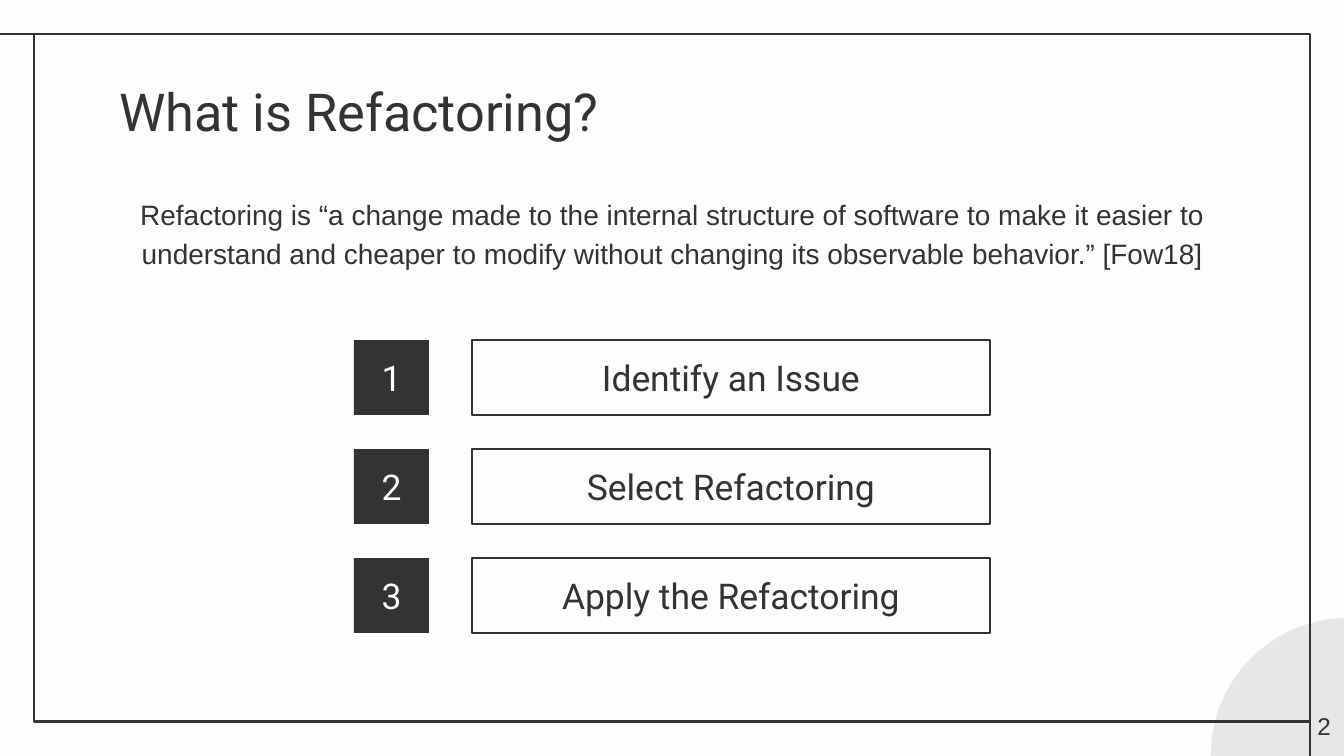
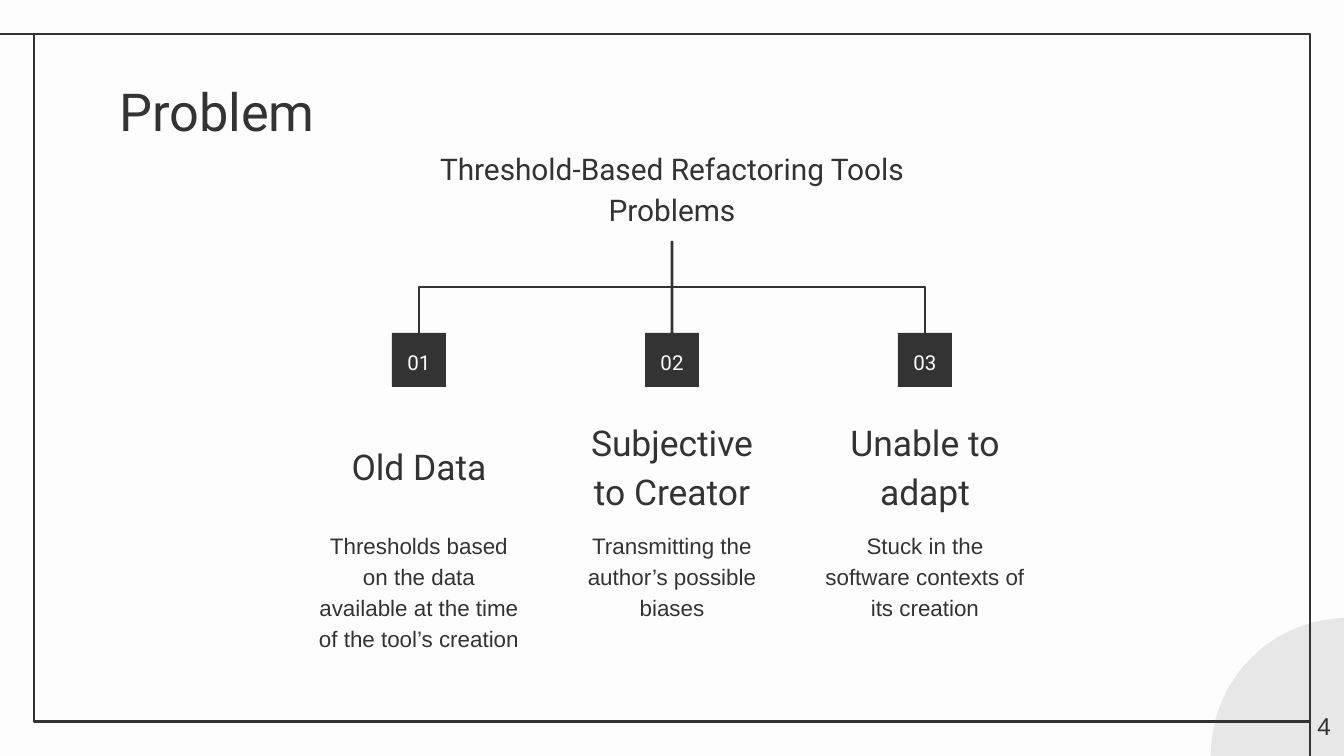
import collections

import lxml.etree
import pptx
import pptx.dml.color
import pptx.enum.shapes
import pptx.enum.text
import pptx.oxml.ns
import pptx.util

PX = 914400 / 134.4
INK, PAPER, CIRCLE = "333333", "FDFDFD", "E8E7E7"
HEADING_FONT, BODY_FONT = "Roboto", "Arial"
ALIGN = pptx.enum.text.PP_ALIGN
ANCHOR = pptx.enum.text.MSO_ANCHOR
SHAPE = pptx.enum.shapes.MSO_SHAPE
CONNECTOR = pptx.enum.shapes.MSO_CONNECTOR
Box = collections.namedtuple("Box", "left top width height")

SLIDE = Box(0, 0, 1344, 756)
TITLE = Box(106, 66, 1133, 85)
QUOTE = Box(106, 179, 1133, 128)
STEPS = Box(354, 340, 636, 293)
TREE = Box(305, 171, 734, 473)


def px(length):
    return round(length * PX)


def color(value):
    return pptx.dml.color.RGBColor.from_string(value)


def apply(target, values):
    for name, value in values.items():
        setattr(target, name, value)


def paint_line(shape, width):
    shape.line.color.rgb = color(INK)
    shape.line.width = pptx.util.Pt(width)


def write(shape, text, size, font=HEADING_FONT, ink=INK, align=ALIGN.CENTER,
          anchor=ANCHOR.TOP, spacing=None):
    margin = pptx.util.Inches(0.1)
    frame = shape.text_frame
    apply(frame, {"margin_left": margin, "margin_right": margin,
                  "margin_top": margin, "margin_bottom": margin,
                  "word_wrap": True, "vertical_anchor": anchor})
    paragraph = frame.paragraphs[0]
    apply(paragraph, {"text": text, "alignment": align, "line_spacing": spacing})
    run_font = paragraph.runs[0].font
    apply(run_font, {"name": font, "size": pptx.util.Pt(size)})
    run_font.color.rgb = color(ink)


def add_text(slide, box, text, size, **style):
    shape = slide.shapes.add_textbox(*map(px, box))
    write(shape, text, size, **style)
    return shape


def add_shape(slide, kind, box, fill=None, line_width=None):
    shape = slide.shapes.add_shape(kind, *map(px, box))
    shape.shadow.inherit = False
    if fill:
        shape.fill.solid()
        shape.fill.fore_color.rgb = color(fill)
    else:
        shape.fill.background()
    if line_width:
        paint_line(shape, line_width)
    else:
        shape.line.fill.background()
    return shape


def add_tile(slide, box, text, size, fill=INK, ink=PAPER, line_width=None, spacing=None):
    tile = add_shape(slide, SHAPE.RECTANGLE, box, fill, line_width)
    write(tile, text, size, ink=ink, anchor=ANCHOR.MIDDLE, spacing=spacing)
    return tile


def add_line(slide, kind, start, end):
    connector = slide.shapes.add_connector(kind, *map(px, (*start, *end)))
    paint_line(connector, 1.5)
    lxml.etree.SubElement(connector._element.spPr, pptx.oxml.ns.qn("a:effectLst"))
    return connector


def add_elbow(slide, start, end):
    run, rise = abs(end[0] - start[0]), start[1] - end[1]
    left = (start[0] + end[0] - rise) / 2
    top = (start[1] + end[1] - run) / 2
    near, far, turn = (left, left + rise, 270) if start[0] < end[0] else (left + rise, left, 90)
    elbow = add_line(slide, CONNECTOR.ELBOW, (near, top), (far, top + run))
    elbow._element.spPr.find(pptx.oxml.ns.qn("a:xfrm")).set("rot", str(turn * 60000))


def draw_base(slide, box, title, number):
    right, bottom = box.left + box.width, box.top + box.height
    inset = 34
    frame = Box(box.left + inset, box.top + inset, box.width - 2 * inset, box.height - 2 * inset)
    corner = (frame.left + frame.width, frame.top + frame.height)
    add_shape(slide, SHAPE.OVAL, Box(right - 133, bottom - 138, 274, 274), CIRCLE)
    add_shape(slide, SHAPE.RECTANGLE, frame, line_width=1.5)
    add_line(slide, CONNECTOR.STRAIGHT, (frame.left, frame.top), (box.left, frame.top))
    add_line(slide, CONNECTOR.STRAIGHT, corner, (corner[0], bottom))
    add_text(slide, TITLE, title, 28, align=ALIGN.LEFT)
    add_text(slide, Box(right - 81, bottom - 58, 81, 58), number, 13,
             font=BODY_FONT, align=ALIGN.RIGHT)


def draw_steps(slide, box, steps):
    side, indent = 75, 118
    pitch = (box.height - side) / (len(steps) - 1)
    for index, step in enumerate(steps):
        top = box.top + index * pitch
        add_tile(slide, Box(box.left, top, side, side), str(index + 1), 19)
        add_tile(slide, Box(box.left + indent, top, box.width - indent, side), step, 19,
                 fill=PAPER, ink=INK, line_width=0.75)


def draw_tree(slide, box, root, branches):
    width, side, tile_top = 228, 54, box.top + 162
    center = box.left + box.width / 2
    pitch = (box.width - width) / (len(branches) - 1)
    root_box = Box(center - 253, box.top, 506, 70)
    trunk = (center, root_box.top + root_box.height)
    root_text = add_text(slide, root_box, root, 16, anchor=ANCHOR.BOTTOM, spacing=1.15)
    for index, (heading, detail) in enumerate(branches):
        left = box.left + index * pitch
        middle = left + width / 2
        add_text(slide, Box(left, box.top + 232, width, 121), heading, 19,
                 anchor=ANCHOR.MIDDLE, spacing=1.15)
        add_text(slide, Box(left, box.top + 344, width, 129), detail, 12,
                 font=BODY_FONT, spacing=1.15)
        tile = add_tile(slide, Box(middle - side / 2, tile_top, side, side),
                        f"{index + 1:02}", 11, spacing=1.15)
        if middle == center:
            stem = add_line(slide, CONNECTOR.STRAIGHT, (middle, tile_top), trunk)
            stem.begin_connect(tile, 0)
            stem.end_connect(root_text, 2)
        else:
            add_elbow(slide, (middle, tile_top), trunk)


def add_slide(presentation, title, number):
    slide = presentation.slides.add_slide(presentation.slide_layouts[6])
    background = slide.background.fill
    background.solid()
    background.fore_color.rgb = color(PAPER)
    draw_base(slide, SLIDE, title, number)
    return slide


def main():
    presentation = pptx.Presentation()
    apply(presentation, {"slide_width": px(SLIDE.width), "slide_height": px(SLIDE.height)})

    definition = add_slide(presentation, "What is Refactoring?", "2")
    add_text(definition, QUOTE,
             "Refactoring is “a change made to the internal structure of software to make it "
             "easier to understand and cheaper to modify without changing its observable "
             "behavior.” [Fow18]", 15, font=BODY_FONT, spacing=1.15)
    draw_steps(definition, STEPS,
               ["Identify an Issue", "Select Refactoring", "Apply the Refactoring"])

    problem = add_slide(presentation, "Problem", "4")
    draw_tree(problem, TREE, "Threshold-Based Refactoring Tools Problems", [
        ("Old Data", "Thresholds based on the data available at the time of the tool’s creation"),
        ("Subjective to Creator", "Transmitting the author’s possible biases"),
        ("Unable to adapt", "Stuck in the software contexts of its creation"),
    ])
    presentation.save("out.pptx")


if __name__ == "__main__":
    main()
